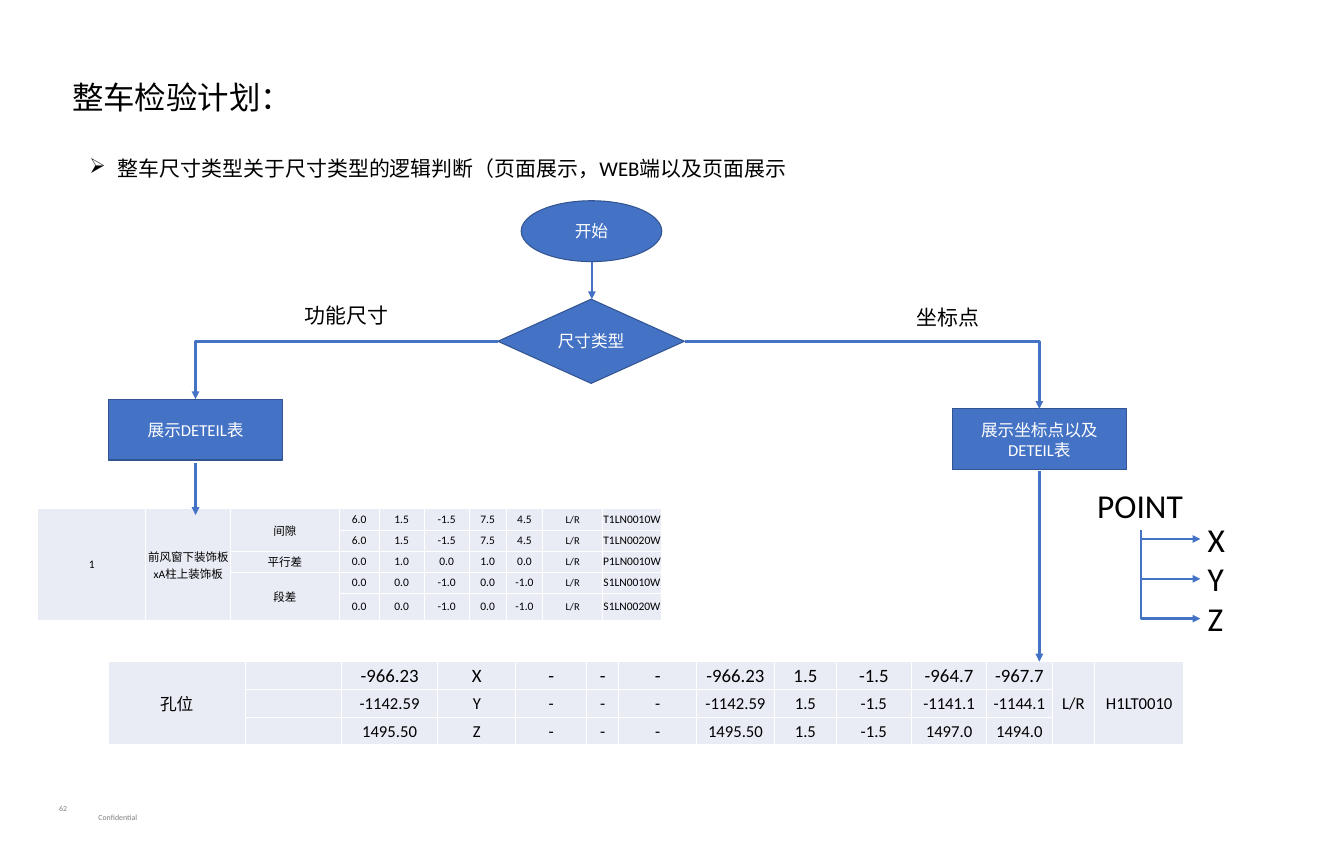
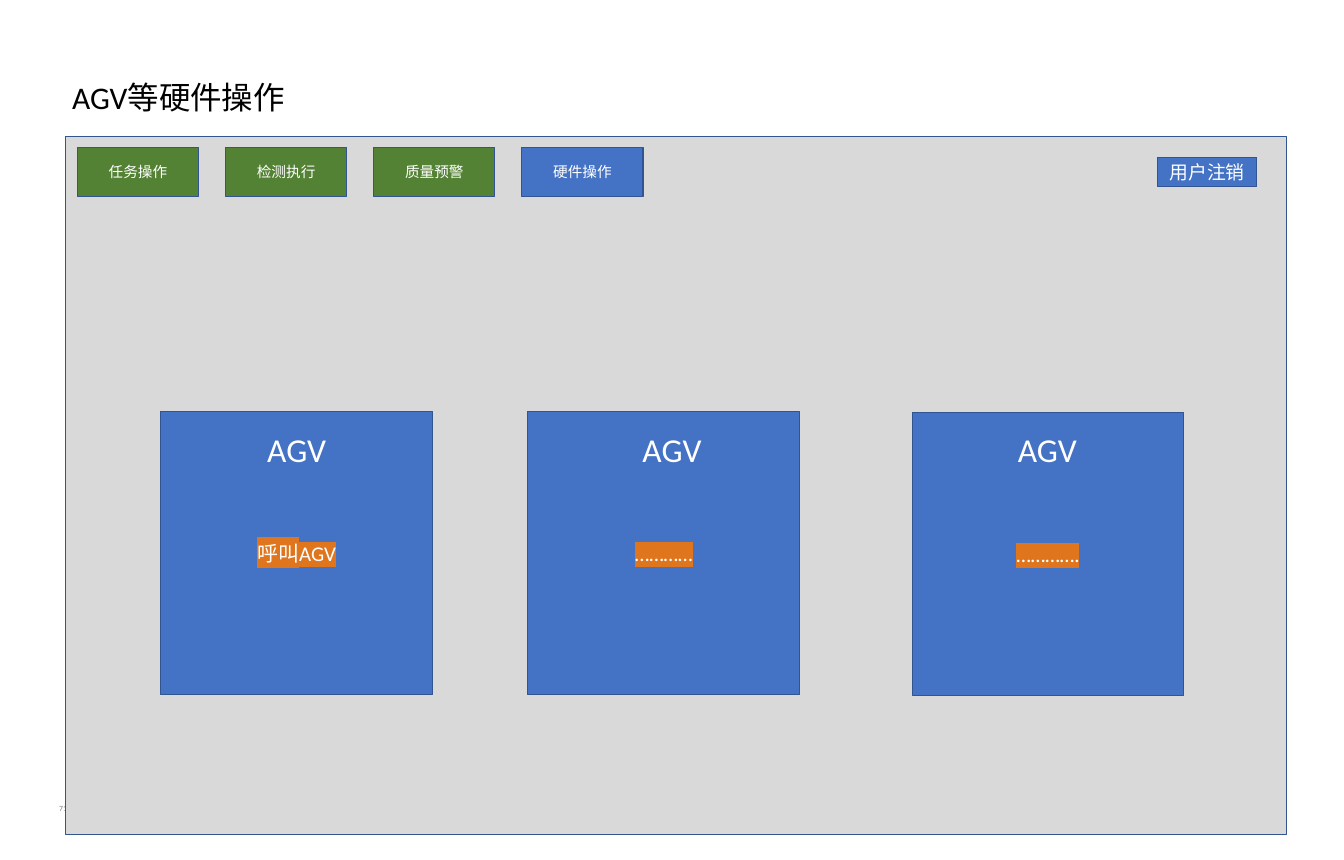
"""Build two slides: a size-type flowchart with tables, and an AGV hardware screen."""
from dataclasses import dataclass

from lxml import etree
from pptx import Presentation
from pptx.dml.color import RGBColor
from pptx.enum.shapes import MSO_CONNECTOR as Connector, MSO_SHAPE as Preset
from pptx.enum.text import MSO_ANCHOR as Anchor, PP_ALIGN as Align
from pptx.oxml.ns import qn
from pptx.util import Inches, Pt


@dataclass(frozen=True)
class Theme:
    font: str = "Calibri"
    blue: str = "4472C4"
    outline: str = "325491"
    green: str = "548235"
    panel: str = "D9D9D9"
    cell: str = "E9EBF5"
    highlight: str = "DF751D"
    black: str = "000000"
    white: str = "FFFFFF"
    grey: str = "7F7F7F"
    title: float = 30.1
    label: float = 32
    body: float = 20
    large: float = 18
    node: float = 16
    tab: float = 14
    small: float = 11
    tiny: float = 10
    footer: float = 7.5
    outline_width: float = 1
    arrow_width: float = 2.5


THEME = Theme()
SLIDE_SIZE = (17.87, 11.44)

PLAN_TITLE = "整车检验计划："
PLAN_BULLET = "整车尺寸类型关于尺寸类型的逻辑判断（页面展示，WEB端以及页面展示"
FLOW_NODES = [
    ("开始", Preset.OVAL, (6.93, 2.67, 1.87, 0.81)),
    ("尺寸类型", Preset.FLOWCHART_DECISION, (6.62, 3.98, 2.48, 1.12)),
    ("展示DETEIL表", Preset.RECTANGLE, (1.44, 5.31, 2.32, 0.81)),
    ("展示坐标点以及DETEIL表", Preset.RECTANGLE, (12.66, 5.44, 2.32, 0.81)),
]
BRANCH_LABELS = [
    ("功能尺寸", (3.95, 3.97, 1.32, 0.44)),
    ("坐标点", (12.09, 4, 1.04, 0.44)),
]
STRAIGHT_ARROWS = [
    ((7.87, 3.48), (7.87, 3.98)),
    ((13.82, 6.27), (13.82, 8.8)),
    ((2.6, 6.16), (2.6, 6.85)),
]
BRANCH_ARROWS = [
    ((6.62, 4.54), (2.6, 5.31)),
    ((9.11, 4.54), (13.82, 5.44)),
]
POINT_LABEL = ("POINT", (14.49, 6.41, 1.35, 0.64))
AXES = ["X", "Y", "Z"]
AXIS_ROOT, AXIS_LEFT, AXIS_TOP, AXIS_STEP = (15.17, 7.05), 15.96, 6.85, 0.53

HOLE_COLUMNS = [1.82, 1.28, 1.28, 1.04, 0.94, 0.43, 1.03,
                1.04, 0.82, 1, 1, 0.87, 0.57, 1.18]
HOLE_ROWS = [
    ["孔位", "", "-966.23", "X", "-", "-", "-",
     "-966.23", "1.5", "-1.5", "-964.7", "-967.7", "L/R", "H1LT0010"],
    [None, "", "-1142.59", "Y", "-", "-", "-",
     "-1142.59", "1.5", "-1.5", "-1141.1", "-1144.1", None, None],
    [None, "", "1495.50", "Z", "-", "-", "-",
     "1495.50", "1.5", "-1.5", "1497.0", "1494.0", None, None],
]
DETAIL_COLUMNS = [1.44, 1.13, 1.44, 0.53, 0.6, 0.6, 0.49, 0.49, 0.79, 0.79]
DETAIL_ROWS = [
    ["1", "前风窗下装饰板xA柱上装饰板", "间隙",
     "6.0", "1.5", "-1.5", "7.5", "4.5", "L/R", "T1LN0010W"],
    [None, None, None, "6.0", "1.5", "-1.5", "7.5", "4.5", "L/R", "T1LN0020W"],
    [None, None, "平行差", "0.0", "1.0", "0.0", "1.0", "0.0", "L/R", "P1LN0010W"],
    [None, None, "段差", "0.0", "0.0", "-1.0", "0.0", "-1.0", "L/R", "S1LN0010W"],
    [None, None, None, "0.0", "0.0", "-1.0", "0.0", "-1.0", "L/R", "S1LN0020W"],
]

HARDWARE_TITLE = "AGV等硬件操作"
TABS = [
    ("任务操作", THEME.green),
    ("检测执行", THEME.green),
    ("质量预警", THEME.green),
    ("硬件操作", THEME.blue),
]
TAB_LEFT, TAB_STEP = 1.03, 1.97
AGV_CARDS = [("呼叫AGV", 2.14, 5.48), ("…………", 7.02, 5.48), ("………….", 12.13, 5.49)]
CARD_TITLE, CARD_TITLE_LEFT, CARD_TITLE_STEP = "AGV", 3.45, 4.99


def rgb(color):
    return RGBColor.from_string(color)


def inches(values):
    return [Inches(value) for value in values]


def write(text_frame, text, size, color, align=Align.LEFT):
    text_frame.text = text
    paragraph = text_frame.paragraphs[0]
    paragraph.alignment = align
    for run in paragraph.runs:
        run.font.name = THEME.font
        run.font.size = Pt(size)
        run.font.color.rgb = rgb(color)
    return paragraph


def add_text(slide, text, box, size, color=THEME.black, align=Align.LEFT,
             wrap=True, anchor=Anchor.TOP):
    text_frame = slide.shapes.add_textbox(*inches(box)).text_frame
    text_frame.word_wrap = wrap
    text_frame.vertical_anchor = anchor
    return write(text_frame, text, size, color, align)


def add_bullet(slide, text, box):
    paragraph = add_text(slide, text, box, THEME.body)
    properties = paragraph._p.get_or_add_pPr()
    indent = Inches(0.38)
    properties.set("marL", str(indent))
    properties.set("indent", str(-indent))
    etree.SubElement(properties, qn("a:buChar")).set("char", "➢")
    paragraph.line_spacing = 1.5


def add_box(slide, box, fill=THEME.blue, text="", size=THEME.node,
            preset=Preset.RECTANGLE):
    shape = slide.shapes.add_shape(preset, *inches(box))
    shape.shadow.inherit = False
    shape.fill.solid()
    shape.fill.fore_color.rgb = rgb(fill)
    shape.line.color.rgb = rgb(THEME.outline)
    shape.line.width = Pt(THEME.outline_width)
    shape.text_frame.word_wrap = True
    shape.text_frame.vertical_anchor = Anchor.MIDDLE
    return write(shape.text_frame, text, size, THEME.white, Align.CENTER)


def highlight(paragraph):
    for run in paragraph.runs:
        fill = run._r.get_or_add_rPr().find(qn("a:solidFill"))
        mark = etree.Element(qn("a:highlight"))
        etree.SubElement(mark, qn("a:srgbClr")).set("val", THEME.highlight)
        fill.addnext(mark)


def add_arrow(slide, start, end, kind=Connector.STRAIGHT):
    connector = slide.shapes.add_connector(kind, *inches(start + end))
    connector.line.color.rgb = rgb(THEME.blue)
    connector.line.width = Pt(THEME.arrow_width)
    line = connector.line._get_or_add_ln()
    etree.SubElement(line, qn("a:tailEnd")).set("type", "triangle")
    properties = connector._element.spPr
    etree.SubElement(properties, qn("a:effectLst"))
    return properties


def add_bent_arrow(slide, start, end):
    properties = add_arrow(slide, start, end, Connector.ELBOW)
    properties.find(qn("a:prstGeom")).set("prst", "bentConnector2")
    return properties


def add_down_then_right_arrow(slide, start, end):
    width, height = end[0] - start[0], end[1] - start[1]
    center_x, center_y = (start[0] + end[0]) / 2, (start[1] + end[1]) / 2
    properties = add_bent_arrow(
        slide,
        (center_x - height / 2, center_y - width / 2),
        (center_x + height / 2, center_y + width / 2),
    )
    transform = properties.find(qn("a:xfrm"))
    transform.set("rot", str(270 * 60000))
    transform.set("flipH", "1")


def add_grid(slide, rows, columns, left, top, row_height, margin, size_of):
    """Draw a table where None continues the cell above."""
    box = (left, top, sum(columns), row_height * len(rows))
    table = slide.shapes.add_table(len(rows), len(columns), *inches(box)).table
    table.first_row = table.horz_banding = False
    for column, width in zip(table.columns, columns):
        column.width = Inches(width)
    for row_index, values in enumerate(rows):
        table.rows[row_index].height = Inches(row_height)
        for column_index, value in enumerate(values):
            cell = table.cell(row_index, column_index)
            cell.fill.solid()
            cell.fill.fore_color.rgb = rgb(THEME.cell)
            cell.vertical_anchor = Anchor.MIDDLE
            cell.margin_left = cell.margin_right = cell.margin_top = Inches(margin)
            cell.margin_bottom = 0
            if value:
                size = size_of(row_index, column_index)
                write(cell.text_frame, value, size, THEME.black, Align.CENTER)
    for column_index in range(len(columns)):
        for first in range(len(rows)):
            last = first
            while last + 1 < len(rows) and rows[last + 1][column_index] is None:
                last += 1
            if rows[first][column_index] is not None and last > first:
                table.cell(first, column_index).merge(table.cell(last, column_index))


def hole_size(row, column):
    return THEME.large if row == 0 and 0 < column < 12 else THEME.node


def detail_size(row, column):
    return THEME.tiny if column == 8 else THEME.small


def add_slide(presentation, title, number):
    slide = presentation.slides.add_slide(presentation.slide_layouts[6])
    add_text(slide, number, (0.43, 10.64, 0.82, 0.23), THEME.footer,
             THEME.grey, Align.CENTER)
    add_text(slide, title, (0.86, 0.99, 15.69, 0.61), THEME.title)
    return slide


def build_plan(presentation):
    slide = add_slide(presentation, PLAN_TITLE, "62")
    add_text(slide, "Confidential", (1.21, 10.76, 11.03, 0.23), THEME.footer,
             THEME.grey, anchor=Anchor.BOTTOM)
    add_bullet(slide, PLAN_BULLET, (1.09, 1.86, 11.45, 0.55))
    for text, preset, box in FLOW_NODES:
        add_box(slide, box, text=text, preset=preset)
    for text, box in BRANCH_LABELS:
        add_text(slide, text, box, THEME.body, align=Align.CENTER, wrap=False)
    for start, end in BRANCH_ARROWS:
        add_bent_arrow(slide, start, end)
    text, box = POINT_LABEL
    add_text(slide, text, box, THEME.label, wrap=False)
    for index, axis in enumerate(AXES):
        top = AXIS_TOP + index * AXIS_STEP
        add_text(slide, axis, (AXIS_LEFT, top, 0.44, 0.64), THEME.label, wrap=False)
        add_down_then_right_arrow(slide, AXIS_ROOT, (AXIS_LEFT, top + 0.32))
    add_grid(slide, HOLE_ROWS, HOLE_COLUMNS, 1.44, 8.8, 0.37, 0.01, hole_size)
    add_grid(slide, DETAIL_ROWS, DETAIL_COLUMNS, 0.5, 6.77, 0.28, 0, detail_size)
    for start, end in STRAIGHT_ARROWS:
        add_arrow(slide, start, end)


def build_hardware(presentation):
    slide = add_slide(presentation, HARDWARE_TITLE, "71")
    add_box(slide, (0.87, 1.82, 16.24, 9.28), THEME.panel)
    for index, (text, fill) in enumerate(TABS):
        box = (TAB_LEFT + index * TAB_STEP, 1.96, 1.61, 0.65)
        add_box(slide, box, fill, text, THEME.tab)
    add_box(slide, (15.39, 2.09, 1.32, 0.39), text="用户注销", size=THEME.large)
    for index, (text, left, top) in enumerate(AGV_CARDS):
        highlight(add_box(slide, (left, top, 3.61, 3.76), text=text, size=THEME.body))
        title_left = CARD_TITLE_LEFT + index * CARD_TITLE_STEP
        add_text(slide, CARD_TITLE, (title_left, 5.66, 0.99, 0.64), THEME.label,
                 THEME.white, Align.CENTER, wrap=False)


def main():
    presentation = Presentation()
    presentation.slide_width, presentation.slide_height = inches(SLIDE_SIZE)
    build_plan(presentation)
    build_hardware(presentation)
    presentation.save("out.pptx")


if __name__ == "__main__":
    main()
